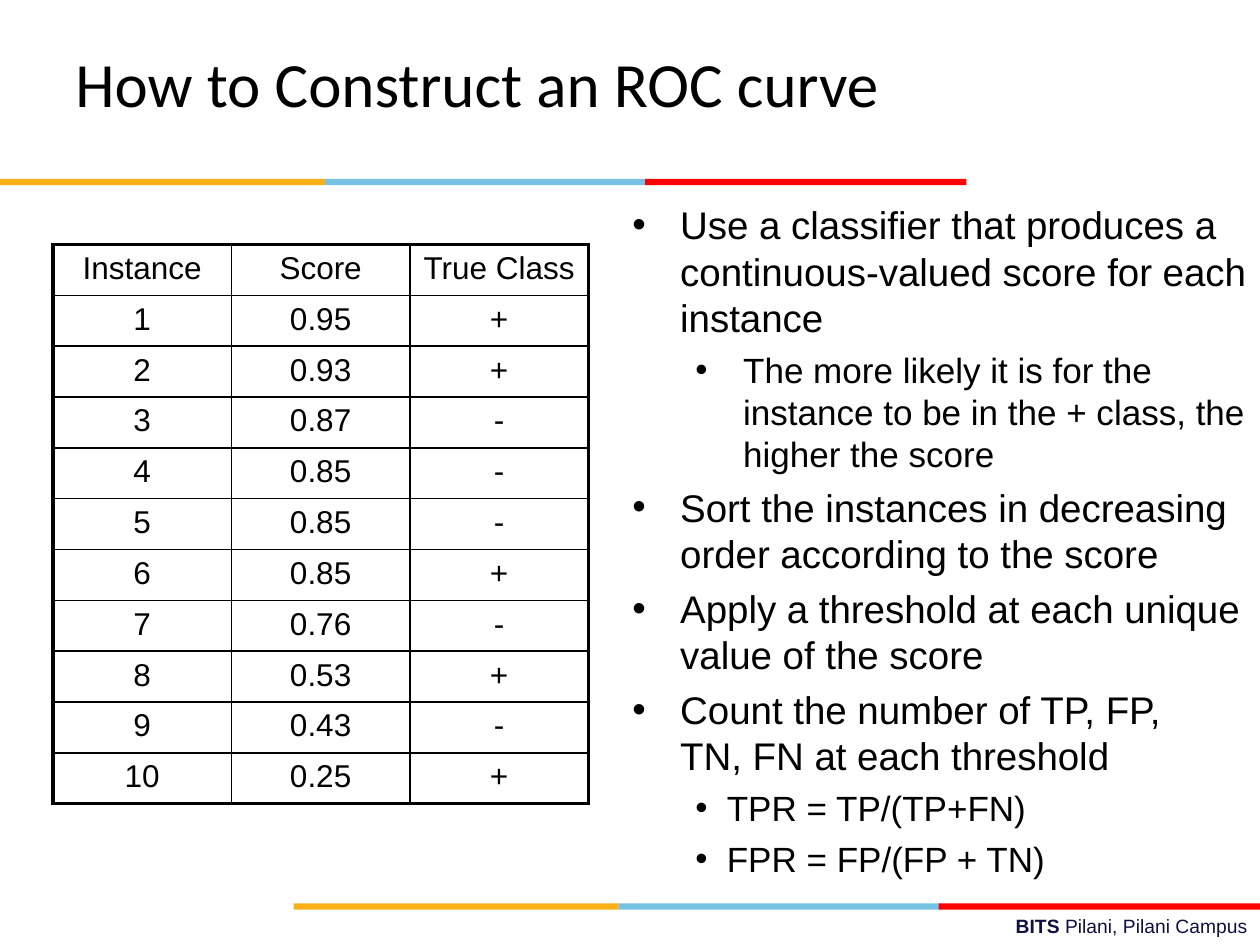
from lxml import etree
from pptx import Presentation
from pptx import util as u
from pptx.dml.color import RGBColor
from pptx.enum import shapes, text
from pptx.oxml.ns import qn

INK = {"black": "000000", "navy": "101141", "gold": "FCB017",
       "sky": "76C2E5", "red": "FF0000"}
TITLE = "How to Construct an ROC curve"
FOOT = [("BITS ", True), ("Pilani, Pilani Campus", False)]
HEAD = ("Instance", "Score", "True Class")
SCORES = ["0.95", "0.93", "0.87", "0.85", "0.85",
          "0.85", "0.76", "0.53", "0.43", "0.25"]
SIGNS = "++---+-+-+"
MAIN, SUB, RATE = (0, 22, 0.38, 0.38), (1, 20, 0.88, 0.38), (1, 20, 0.75, 0.25)
STEPS = [
    (MAIN, "Use a classifier that produces a continuous-valued score for each instance"),
    (SUB, "The more likely it is for the instance to be in the + class, the higher the score"),
    (MAIN, "Sort the instances in decreasing order according to the score"),
    (MAIN, "Apply a threshold at each unique value of the score"),
    (MAIN, "Count the number of TP, FP, \vTN, FN at each threshold"),
    (RATE, "TPR = TP/(TP+FN)"),
    (RATE, "FPR = FP/(FP + TN)"),
]
STRIPE = [("gold", 0, 2.58), ("sky", 2.58, 2.55), ("red", 5.12, 2.55)]
STARTS = [(0, 1.42), (2.33, 7.17)]


def style(font, size, ink="black", name="Arial"):
    font.size = u.Pt(size)
    font.name = name
    font.color.rgb = RGBColor.from_string(INK[ink])


def box(slide, *at):
    frame = slide.shapes.add_textbox(*map(u.Inches, at)).text_frame
    frame.word_wrap = True
    return frame


def stripe(slide, left, top):
    for ink, shift, width in STRIPE:
        bar = slide.shapes.add_shape(
            shapes.MSO_SHAPE.RECTANGLE, u.Inches(left + shift), u.Inches(top),
            u.Inches(width), u.Inches(0.05))
        bar.shadow.inherit = False
        bar.fill.solid()
        bar.fill.fore_color.rgb = RGBColor.from_string(INK[ink])
        bar.line.fill.background()


def border(cell, side, width):
    props = cell._tc.get_or_add_tcPr()
    line = etree.SubElement(props, qn("a:ln" + side), w=str(u.Pt(width)))
    fill = etree.SubElement(line, qn("a:solidFill"))
    etree.SubElement(fill, qn("a:srgbClr"), val=INK["black"])


def grid(slide):
    rows = [HEAD] + [(str(n), score, sign) for n, (score, sign)
                     in enumerate(zip(SCORES, SIGNS), 1)]
    last, end = len(rows) - 1, len(HEAD) - 1
    table = slide.shapes.add_table(
        len(rows), len(HEAD), u.Inches(0.42), u.Inches(1.94),
        u.Inches(4.25), u.Inches(4.44)).table
    table.first_row = table.horz_banding = False
    for r, row in enumerate(rows):
        for c, word in enumerate(row):
            cell = table.cell(r, c)
            edges = {"L": c == 0, "R": c == end, "T": r == 0, "B": r == last}
            for side, outer in edges.items():
                border(cell, side, 2.25 if outer else 1)
            cell.fill.background()
            para = cell.text_frame.paragraphs[0]
            para.text = word
            para.alignment = text.PP_ALIGN.CENTER
            para.space_after = u.Pt(4)
            style(para.font, 18)


def steps(slide):
    frame = box(slide, 4.92, 1.55, 5.08, 5.54)
    for n, ((level, size, left, hang), words) in enumerate(STEPS):
        para = frame.add_paragraph() if n else frame.paragraphs[0]
        para.text = words
        para.level = level
        para.space_before = u.Pt(5 if n else 0)
        props = para._p.get_or_add_pPr()
        props.set("marL", str(u.Inches(left)))
        props.set("indent", str(-u.Inches(hang)))
        etree.SubElement(props, qn("a:buFont"), typeface="Arial")
        etree.SubElement(props, qn("a:buChar"), char="•")
        style(para.font, size)


def main():
    deck = Presentation()
    deck.slide_width, deck.slide_height = u.Inches(10), u.Inches(7.5)
    slide = deck.slides.add_slide(deck.slide_layouts[6])

    foot = box(slide, 3.58, 7.21, 6.42, 0.29).paragraphs[0]
    foot.alignment = text.PP_ALIGN.RIGHT
    style(foot.font, 11, "navy")
    for words, bold in FOOT:
        run = foot.add_run()
        run.text = words
        run.font.bold = bold

    for left, top in STARTS:
        stripe(slide, left, top)

    title = box(slide, 0.5, 0.3, 9, 1.25).paragraphs[0]
    title.text = TITLE
    style(title.font, 36, name="Calibri")

    grid(slide)
    steps(slide)
    deck.save("out.pptx")


if __name__ == "__main__":
    main()
